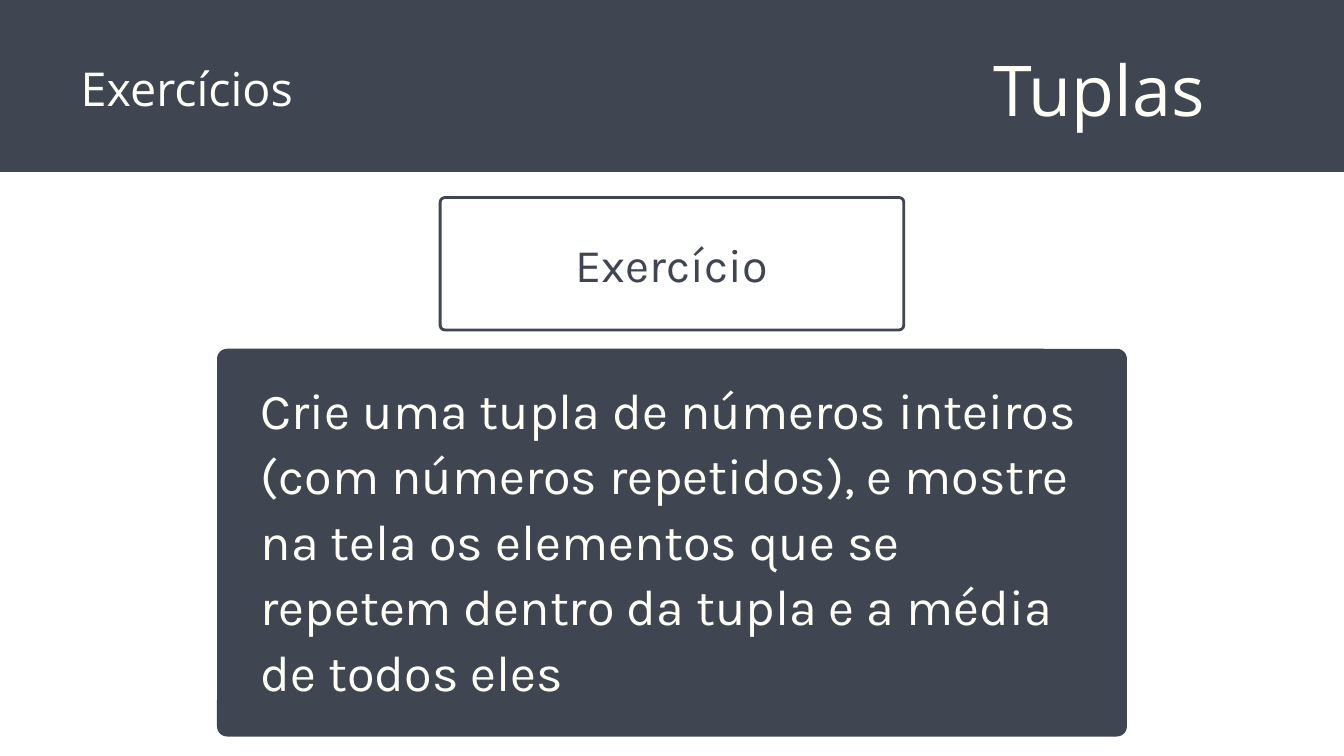
from dataclasses import dataclass

from lxml.etree import SubElement
from pptx import Presentation
from pptx.dml.color import RGBColor
from pptx.enum.shapes import MSO_SHAPE as Shape
from pptx.enum.text import MSO_ANCHOR as Anchor, MSO_AUTO_SIZE as AutoSize, PP_ALIGN as Align
from pptx.oxml.ns import qn
from pptx.util import Inches, Pt


@dataclass(frozen=True)
class Theme:
    slate: RGBColor = RGBColor(0x3F, 0x46, 0x52)
    cream: RGBColor = RGBColor(0xFF, 0xFF, 0xF6)
    heading_font: str = "Open Sans"
    body_font: str = "Karla"
    title_size: int = 75
    statement_size: int = 54
    label_size: int = 50


class SlideBuilder:
    """Holds the theme and the current slide."""

    def __init__(self, slide, theme):
        self.slide = slide
        self.theme = theme

    def panel(self, box, radius=0, outline=None):
        """Solid slate panel, or an open frame when an outline width is given."""
        kind = Shape.ROUNDED_RECTANGLE if radius else Shape.RECTANGLE
        panel = self.slide.shapes.add_shape(kind, *map(Inches, box))
        panel.shadow.inherit = False
        if radius:
            panel.adjustments[0] = radius / min(box[2:])
        if outline:
            panel.fill.background()
            panel.line.color.rgb = self.theme.slate
            panel.line.width = Pt(outline)
        else:
            panel.fill.solid()
            panel.fill.fore_color.rgb = self.theme.slate
            panel.line.fill.background()

    def text_box(self, box, text, **style):
        self.set_text(self.slide.shapes.add_textbox(*map(Inches, box)), text, **style)

    def placeholder(self, idx, box, text, **style):
        """Place a template placeholder in front of the panels."""
        holder = self.slide.placeholders[idx]
        holder.left, holder.top, holder.width, holder.height = map(Inches, box)
        self.slide.shapes._spTree.append(holder._element)
        self.set_text(holder, text, **style)

    def set_text(self, holder, text, font, size, color, leading, align=Align.LEFT):
        frame = holder.text_frame
        frame.text = text
        paragraph = frame.paragraphs[0]
        formats = {
            frame: dict(word_wrap=True, auto_size=AutoSize.NONE,
                        vertical_anchor=Anchor.TOP, margin_left=0,
                        margin_right=0, margin_top=0, margin_bottom=0),
            paragraph: dict(alignment=align, line_spacing=Pt(leading),
                            space_before=Pt(0), space_after=Pt(0)),
            paragraph.runs[0].font: dict(name=font, size=Pt(size)),
        }
        for target, values in formats.items():
            for name, value in values.items():
                setattr(target, name, value)
        paragraph.runs[0].font.color.rgb = color

        # No bullet and no hanging indent
        properties = paragraph._p.get_or_add_pPr()
        properties.set("marL", "0")
        properties.set("indent", "0")
        SubElement(properties, qn("a:buNone"))


def main():
    theme = Theme()
    deck = Presentation()
    deck.slide_width, deck.slide_height = Inches(20), Inches(11.25)
    builder = SlideBuilder(deck.slides.add_slide(deck.slide_layouts[1]), theme)

    # Panels: exercise label, statement card, header band
    builder.panel((6.55, 2.94, 6.9, 1.97), radius=0.07, outline=3)
    builder.panel((3.23, 5.19, 13.54, 5.77), radius=0.15)
    builder.panel((0, 0, 20, 2.56))

    # Exercise label and statement
    builder.text_box((8.04, 3.44, 3.92, 0.91), "Exercício",
                     font=theme.body_font, size=theme.label_size,
                     color=theme.slate, leading=65, align=Align.CENTER)
    builder.placeholder(1, (3.88, 5.56, 12.23, 4.87),
                        "Crie uma tupla de números inteiros (com números repetidos), "
                        "e mostre na tela os elementos que se repetem dentro da tupla "
                        "e a média de todos eles",
                        font=theme.body_font, size=theme.statement_size,
                        color=theme.cream, leading=70.2)

    # Header: topic and section
    builder.placeholder(0, (13.84, 0.49, 5.03, 1.42), "Tuplas",
                        font=theme.heading_font, size=theme.title_size,
                        color=theme.cream, leading=105, align=Align.CENTER)
    builder.text_box((1.2, 0.75, 8.11, 0.95), "Exercícios",
                     font=theme.heading_font, size=theme.label_size,
                     color=theme.cream, leading=70)

    deck.save("out.pptx")


if __name__ == "__main__":
    main()
